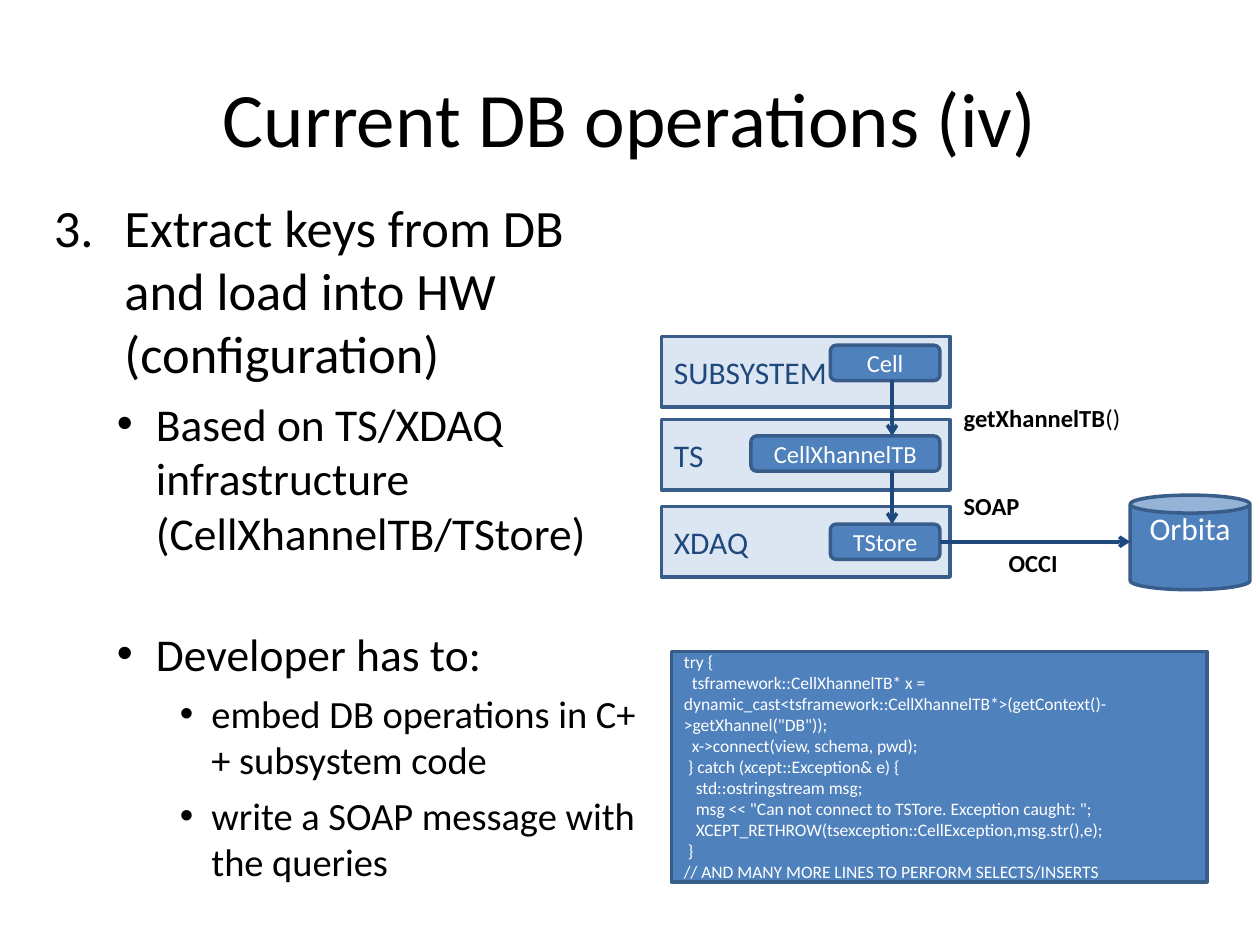
from lxml import etree
from pptx import Presentation
from pptx.dml.color import RGBColor
from pptx.enum.shapes import MSO_CONNECTOR, MSO_SHAPE
from pptx.enum.text import MSO_ANCHOR, PP_ALIGN
from pptx.oxml.ns import qn
from pptx.util import Inches, Pt

BLUE, EDGE, PALE, NAVY = "4F81BD", "385D8A", "DCE6F2", "1F497D"

CODE = """try {
  tsframework::CellXhannelTB* x = dynamic_cast<tsframework::CellXhannelTB*>(getContext()->getXhannel("DB"));
  x->connect(view, schema, pwd);
 } catch (xcept::Exception& e) {
   std::ostringstream msg;
   msg << "Can not connect to TSTore. Exception caught: ";
   XCEPT_RETHROW(tsexception::CellException,msg.str(),e);
 }
// AND MANY MORE LINES TO PERFORM SELECTS/INSERTS"""

# text, level, space before in points
POINTS = [
    ("Extract keys from DB and load into HW (configuration)", 0, 7.5),
    ("Based on TS/XDAQ infrastructure (CellXhannelTB/TStore)", 1, 6.5),
    ("Developer has to:", 1, 38),
    ("embed DB operations in C++ subsystem code", 2, 5.5),
    ("write a SOAP message with the queries", 2, 5.5),
]
# size, left margin, hanging indent by level
LEVELS = [(30, 0.56, 0.56), (26, 0.81, 0.31), (22, 1.25, 0.25)]

# layer, component, layer top, component offset, component width
LAYERS = [
    ("SUBSYSTEM", "Cell", 0, 0.07, 0.87),
    ("TS", "CellXhannelTB", 0.66, 0.13, 1.5),
    ("XDAQ", "TStore", 1.35, 0.14, 0.87),
]
LAYER_W, LAYER_H, COMPONENT_H = 2.29, 0.56, 0.28


def color(value):
    return RGBColor.from_string(value)


def write(frame, *paragraphs, size=14, ink="000000", align=PP_ALIGN.LEFT,
          anchor=MSO_ANCHOR.TOP, bold=False):
    """Fill a frame; a paragraph is a string or a list of (string, bold) runs."""
    frame.word_wrap = True
    frame.vertical_anchor = anchor
    for number, content in enumerate(paragraphs):
        paragraph = frame.paragraphs[0] if number == 0 else frame.add_paragraph()
        paragraph.alignment = align
        runs = [(content, bold)] if isinstance(content, str) else content
        for words, heavy in runs:
            run = paragraph.add_run()
            run.text = words
            run.font.name = "Calibri"
            run.font.size = Pt(size)
            run.font.bold = heavy
            run.font.color.rgb = color(ink)
    return paragraph


def text_box(slide, box, *paragraphs, **style):
    frame = slide.shapes.add_textbox(*map(Inches, box)).text_frame
    write(frame, *paragraphs, **style)


def block(slide, kind, box, *paragraphs, fill=BLUE, ink="FFFFFF", **style):
    shape = slide.shapes.add_shape(kind, *map(Inches, box))
    shape.shadow.inherit = False
    shape.fill.solid()
    shape.fill.fore_color.rgb = color(fill)
    shape.line.color.rgb = color(EDGE)
    shape.line.width = Pt(2)
    write(shape.text_frame, *paragraphs, ink=ink, anchor=MSO_ANCHOR.MIDDLE, **style)
    return shape


def arrow(slide, x1, y1, x2, y2):
    connector = slide.shapes.add_connector(
        MSO_CONNECTOR.STRAIGHT, *map(Inches, (x1, y1, x2, y2)))
    connector.line.color.rgb = color(NAVY)
    connector.line.width = Pt(2)
    etree.SubElement(connector.line._get_or_add_ln(), qn("a:tailEnd"), type="arrow")
    etree.SubElement(connector._element.spPr, qn("a:effectLst"))


def set_bullet(paragraph, level):
    _, margin, hanging = LEVELS[level]
    properties = paragraph._p.get_or_add_pPr()
    properties.set("marL", str(Inches(margin)))
    properties.set("indent", str(-Inches(hanging)))
    font = etree.SubElement(properties, qn("a:buFont"))
    if level == 0:
        font.set("typeface", "Calibri")
        etree.SubElement(properties, qn("a:buAutoNum"), type="arabicPeriod", startAt="3")
    else:
        font.set("typeface", "Arial")
        etree.SubElement(properties, qn("a:buChar"), char="•")


def outline(slide, box):
    frame = slide.shapes.add_textbox(*map(Inches, box)).text_frame
    frame.word_wrap = True
    for number, (words, level, before) in enumerate(POINTS):
        paragraph = frame.paragraphs[0] if number == 0 else frame.add_paragraph()
        paragraph.level = level
        paragraph.space_before = Pt(before)
        set_bullet(paragraph, level)
        run = paragraph.add_run()
        run.text = words
        run.font.name = "Calibri"
        run.font.size = Pt(LEVELS[level][0])
        run.font.color.rgb = color("000000")


def architecture(slide, left, top):
    """Stacked layers with their components, calls and the database."""
    right = left + 2.21
    component_tops = [top + y + offset for _, _, y, offset, _ in LAYERS]
    for (layer, component, y, _, width), component_top in zip(LAYERS, component_tops):
        block(slide, MSO_SHAPE.RECTANGLE, (left, top + y, LAYER_W, LAYER_H),
              layer, fill=PALE, ink=NAVY, size=18)
        block(slide, MSO_SHAPE.ROUNDED_RECTANGLE,
              (right - width, component_top, width, COMPONENT_H),
              component, align=PP_ALIGN.CENTER)

    for upper, lower in zip(component_tops, component_tops[1:]):
        arrow(slide, left + 1.83, upper + COMPONENT_H, left + 1.83, lower)

    database_left = left + 3.72
    database = block(slide, MSO_SHAPE.CAN, (database_left, top + 1.26, 0.95, 0.75),
                     "Orbita", size=18, align=PP_ALIGN.CENTER)
    database.adjustments[0] = 0.19
    database.text_frame.margin_top = 0
    database.text_frame.margin_bottom = Inches(0.3)
    link_y = component_tops[-1] + COMPONENT_H / 2
    arrow(slide, right, link_y, database_left, link_y)

    for x, y, words, align in [
        (2.3, 0.48, [("getXhannelTB", True), ("()", False)], PP_ALIGN.LEFT),
        (2.3, 1.18, "SOAP", PP_ALIGN.LEFT),
        (2.22, 1.63, "OCCI", PP_ALIGN.CENTER),
    ]:
        text_box(slide, (left + x, top + y, 1.46, 0.34), words, bold=True, align=align)


def main():
    deck = Presentation()
    deck.slide_width, deck.slide_height = Inches(10), Inches(7.5)
    slide = deck.slides.add_slide(deck.slide_layouts[6])
    text_box(slide, (0.5, 0.3, 9, 1.25), "Current DB operations (iv)",
             size=44, align=PP_ALIGN.CENTER, anchor=MSO_ANCHOR.MIDDLE)
    outline(slide, (0.33, 1.5, 4.83, 5.67))
    block(slide, MSO_SHAPE.RECTANGLE, (5.33, 5.17, 4.25, 1.83),
          *CODE.splitlines(), size=10)
    architecture(slide, 5.25, 2.67)
    deck.save("out.pptx")


if __name__ == "__main__":
    main()
